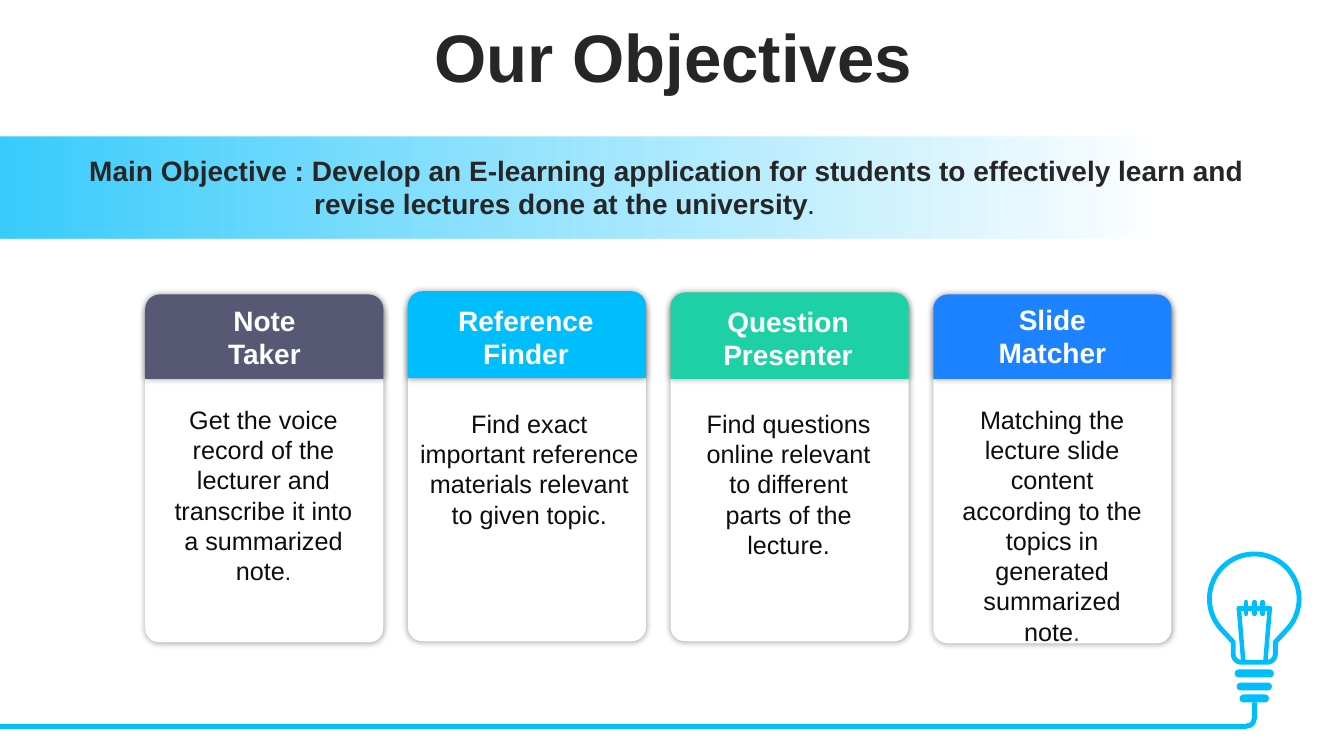
import math
import lxml.etree
import pptx
import pptx.dml.color
import pptx.enum.shapes
import pptx.enum.text
import pptx.oxml
import pptx.oxml.ns
import pptx.util

Cm = pptx.util.Cm
Pt = pptx.util.Pt
SHAPE = pptx.enum.shapes.MSO_SHAPE
ALIGN = pptx.enum.text.PP_ALIGN
ANCHOR = pptx.enum.text.MSO_ANCHOR
SIZING = pptx.enum.text.MSO_AUTO_SIZE

CYAN, WHITE, DARK, INK = "00BDFB", "FFFFFF", "262626", "0D0D0D"

TITLE = "Our Objectives"
OBJECTIVE = [
    ("Main Objective : Develop an E-learning application for students to "
     "effectively learn and revise lectures done at the university", 20, DARK, True),
    (".", 14, DARK, True),
]
CARDS = [
    dict(title="Note Taker", color="565874", top=7.42, bottom=9.55,
         body=(7.57, 8.62), title_box=(5.23, 7.52, 2.87, 1.96),
         note_box=(4.14, 10.06, 5.0, 4.88),
         note=[("Get the voice record of the lecturer and transcribe it into "
                "a summarized note", 18, INK, False), (".", 16, INK, False)]),
    dict(title="Reference Finder", color=CYAN, top=7.34, bottom=9.53,
         body=(7.52, 8.64), title_box=(11.2, 7.52, 4.11, 1.96),
         note_box=(10.28, 10.16, 6.12, 3.33),
         note=[("Find exact important reference materials relevant to given topic.",
                18, INK, False)]),
    dict(title="Question Presenter", color="1ED0A6", top=7.37, bottom=9.55,
         body=(7.52, 8.64), title_box=(17.04, 7.54, 5.64, 1.96),
         note_box=(17.4, 10.16, 4.95, 4.11),
         note=[("Find questions online relevant to different parts of the lecture.",
                18, INK, False)]),
    dict(title="Slide Matcher", color="1C82FF", top=7.42, bottom=9.55,
         body=(7.57, 8.64), title_box=(24.31, 7.49, 4.42, 1.96),
         note_box=(23.77, 10.06, 5.49, 5.64),
         note=[("Matching the lecture slide content according to the topics in "
                "generated summarized note", 18, INK, False),
               (".", 18, "404040", False)]),
]
CARD_LEFT, CARD_PITCH, CARD_WIDTH, CARD_RADIUS = 3.66, 6.62, 6.0, 0.37
BAND = (0, 3.45, 33.87, 2.57)
BAND_STOPS = [(0, 78), (27, 52), (86, 0)]
BULB_X, BULB_Y, BULB_RADIUS = 31.61, 15.09, 1.13
BULB_BASE = [(0.99, 16.87), (0.89, 17.2), (0.74, 17.5)]
FILAMENT = [
    (-0.39, 15.33, 0.39, 15.33), (-0.39, 15.33, -0.28, 16.65),
    (0.39, 15.33, 0.28, 16.65),
] + [(x, 15.17, x, 15.47) for x in (-0.21, 0, 0.21)]
WIRE = [(0, 18.24, 31.42, 0.13), (31.55, 17.7, 0.13, 0.43)]
WIRE_BEND = (31.19, 17.88, 0.48, 0.48)

deck = pptx.Presentation()
deck.slide_width, deck.slide_height = Cm(33.87), Cm(19.05)
page = deck.slides.add_slide(deck.slide_layouts[6])


def rgb(value):
    return pptx.dml.color.RGBColor.from_string(value)


def add_xml(parent, markup):
    head, tail = markup.split(" ", 1) if " " in markup else (markup[:-2], "/>")
    element = pptx.oxml.parse_xml(f"{head} {pptx.oxml.ns.nsdecls('a')} {tail}")
    parent.append(element)
    return element


def paint(shape, color):
    shape.shadow.inherit = False
    shape.fill.solid()
    shape.fill.fore_color.rgb = rgb(color)
    shape.line.fill.background()


def add_shape(kind, area, color, adjustments=()):
    shape = page.shapes.add_shape(kind, *map(Cm, area))
    for index, value in enumerate(adjustments):
        shape.adjustments[index] = value
    paint(shape, color)
    return shape


def add_glow(shape):
    effects = shape._element.spPr.find(pptx.oxml.ns.qn("a:effectLst"))
    add_xml(effects, '<a:outerShdw blurRad="63500" dist="0" dir="0" rotWithShape="0">'
                     '<a:srgbClr val="000000"><a:alpha val="40000"/></a:srgbClr>'
                     '</a:outerShdw>')


def add_text(area, spans, align=ALIGN.CENTER, anchor=ANCHOR.TOP, sizing=SIZING.SHAPE_TO_FIT_TEXT):
    box = page.shapes.add_textbox(*map(Cm, area))
    frame = box.text_frame
    frame.word_wrap = True
    frame.auto_size = sizing
    frame.vertical_anchor = anchor
    para = frame.paragraphs[0]
    para.alignment = align
    for text, size, color, bold in spans:
        span = para.add_run()
        span.text = text
        span.font.name = "Arial"
        span.font.size = Pt(size)
        span.font.bold = bold
        span.font.color.rgb = rgb(color)
    return para


def arc(x, y, radius, start, end):
    steps = max(6, (end - start) // 5)
    angles = [math.radians(start + (end - start) * i / steps) for i in range(steps + 1)]
    return [(x + radius * math.cos(a), y + radius * math.sin(a)) for a in angles]


def draw_bulb():
    outline = arc(BULB_X, BULB_Y, BULB_RADIUS, 135, 405)
    outline += [(BULB_X + 0.53, 16.18)] + arc(BULB_X + 0.32, 16.48, 0.21, 0, 90)
    outline += arc(BULB_X - 0.32, 16.48, 0.21, 90, 180) + [(BULB_X - 0.53, 16.18)]
    points = [(Cm(x), Cm(y)) for x, y in outline]
    builder = page.shapes.build_freeform(*points[0])
    builder.add_line_segments(points[1:], close=True)
    bulb = builder.convert_to_shape()
    paint(bulb, WHITE)
    bulb.line.color.rgb = rgb(CYAN)
    bulb.line.width = Pt(3.5)
    for width, top in BULB_BASE:
        add_shape(SHAPE.ROUNDED_RECTANGLE, (BULB_X - width / 2, top, width, 0.2), CYAN, [0.5])
    for x1, y1, x2, y2 in FILAMENT:
        wire = page.shapes.add_connector(
            pptx.enum.shapes.MSO_CONNECTOR.STRAIGHT,
            Cm(BULB_X + x1), Cm(y1), Cm(BULB_X + x2), Cm(y2))
        wire.line.color.rgb = rgb(CYAN)
        wire.line.width = Pt(3.2)
        wire.line._ln.set("cap", "rnd")
        add_xml(wire._element.spPr, "<a:effectLst/>")
    for area in WIRE:
        add_shape(SHAPE.RECTANGLE, area, CYAN)
    add_shape(SHAPE.BLOCK_ARC, WIRE_BEND, CYAN, [213.39, 60.92, 0.27])


def draw_card(index, card):
    left = CARD_LEFT + index * CARD_PITCH
    top, height = card["body"]
    add_glow(add_shape(SHAPE.ROUNDED_RECTANGLE, (left, top, CARD_WIDTH, height), WHITE, [0.06]))
    height = card["bottom"] - card["top"]
    add_glow(add_shape(SHAPE.ROUND_2_SAME_RECTANGLE, (left, card["top"], CARD_WIDTH, height),
                       card["color"], [CARD_RADIUS / height, 0]))
    add_text(card["title_box"], [(card["title"], 20, WHITE, True)])
    add_text(card["note_box"], card["note"])


def draw_band():
    band = add_shape(SHAPE.RECTANGLE, BAND, CYAN)
    stops = "".join(
        f'<a:gs pos="{pos * 1000}"><a:srgbClr val="{CYAN}">'
        f'<a:alpha val="{alpha * 1000}"/></a:srgbClr></a:gs>' for pos, alpha in BAND_STOPS)
    properties = band._element.spPr
    gradient = add_xml(properties, f'<a:gradFill rotWithShape="1"><a:gsLst>{stops}</a:gsLst>'
                                   '<a:lin ang="0" scaled="0"/></a:gradFill>')
    properties.replace(properties.find(pptx.oxml.ns.qn("a:solidFill")), gradient)
    para = add_text((2.0, 3.73, 29.92, 1.96), OBJECTIVE, ALIGN.LEFT, ANCHOR.MIDDLE)
    para.space_after = Pt(12)
    settings = para._p.get_or_add_pPr()
    settings.set("marL", str(Cm(5.67)))
    settings.set("indent", str(-Cm(5.67)))


draw_bulb()
heading = add_text((0.89, 0.56, 32.16, 1.96), [(TITLE, 48, DARK, True)],
                   anchor=ANCHOR.MIDDLE, sizing=SIZING.NONE)
heading.line_spacing = 0.9
for index, card in enumerate(CARDS):
    draw_card(index, card)
draw_band()
deck.save("out.pptx")
